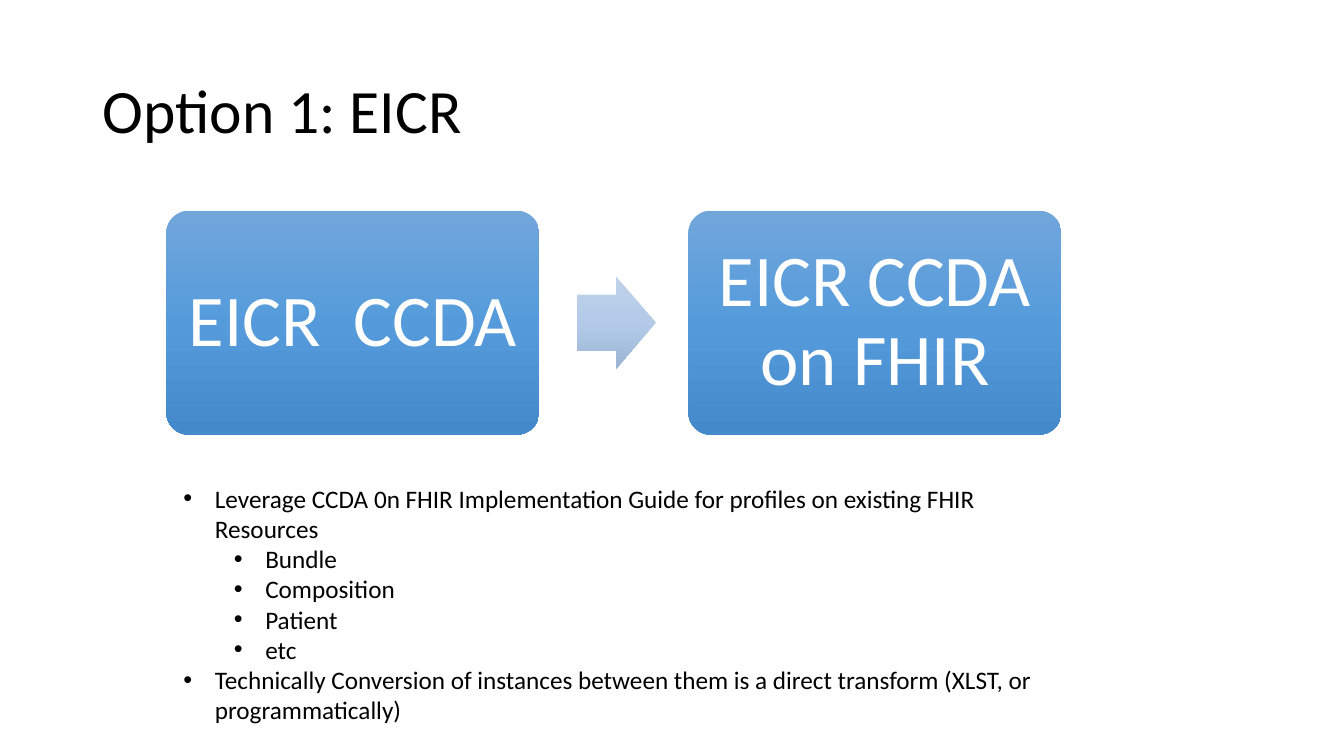
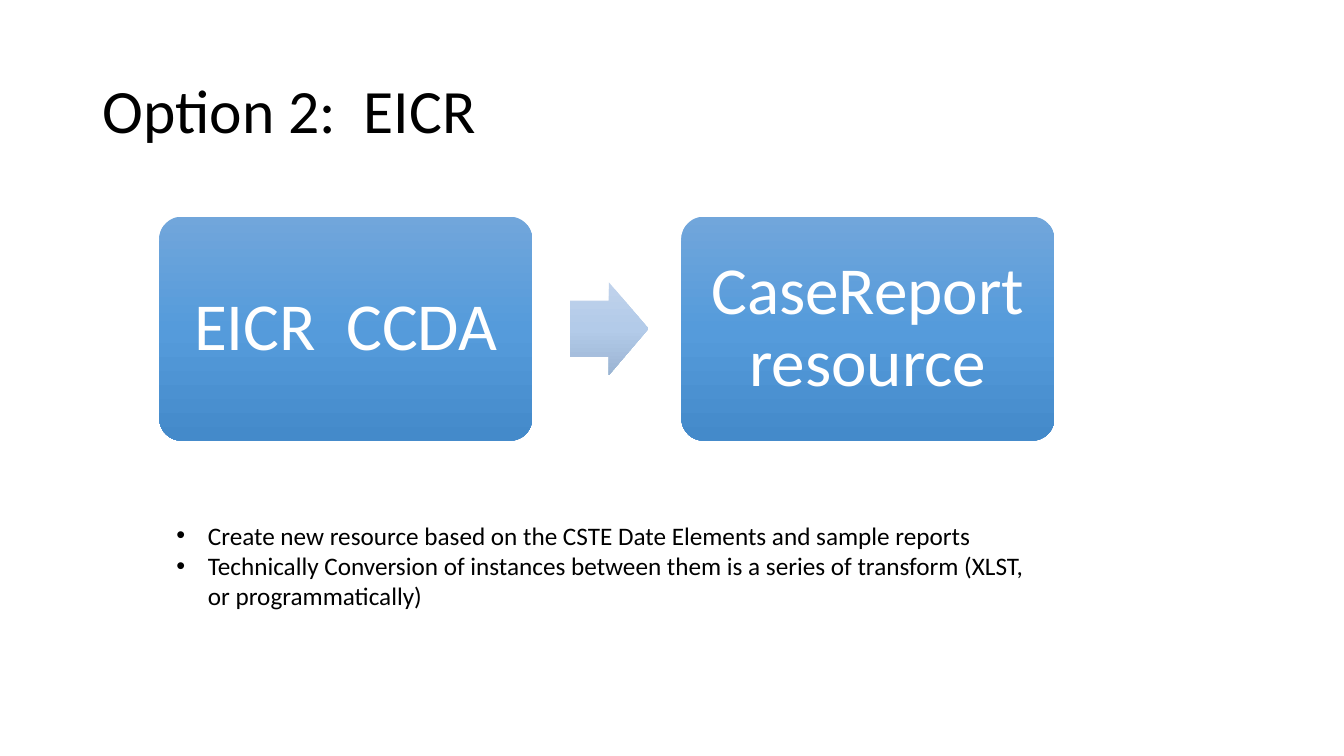
import copy

import lxml.etree
import pptx
import pptx.dml.color
import pptx.enum.shapes
import pptx.enum.text
import pptx.oxml.ns
import pptx.util

Pt = pptx.util.Pt
Shapes = pptx.enum.shapes.MSO_SHAPE
Align = pptx.enum.text.PP_ALIGN

FONT = "Calibri"
BLACK, WHITE = "000000", "FFFFFF"
BOX_GRADIENT = ("71A6DB", "559BDB", "448ACA")
ARROW_GRADIENT = ("C0D2EB", "B3CBE9", "9BB4D3")

BOX_WIDTH, BOX_HEIGHT = 266.4, 160
ARROW_WIDTH, ARROW_HEIGHT = 56.4, 66
ARROW_OFFSET = BOX_WIDTH * 1.1
BOX_STEP = BOX_WIDTH * 1.4
LIST_INDENT, LEVEL_STEP = 22.5, 36

TITLE_FRAME = {
    "word_wrap": True,
    "auto_size": pptx.enum.text.MSO_AUTO_SIZE.NONE,
    "vertical_anchor": pptx.enum.text.MSO_ANCHOR.MIDDLE,
}
LIST_FRAME = {**TITLE_FRAME, "vertical_anchor": pptx.enum.text.MSO_ANCHOR.TOP}
BOX_FRAME = {
    **TITLE_FRAME,
    **dict.fromkeys(("margin_left", "margin_right", "margin_top", "margin_bottom"), Pt(10)),
}
TITLE_PARAGRAPH = {"alignment": Align.LEFT, "line_spacing": 0.9}
BOX_PARAGRAPH = {"alignment": Align.CENTER, "line_spacing": 0.9}
LIST_PARAGRAPH = {"alignment": Align.LEFT, "line_spacing": 1.0,
                  "space_before": Pt(0), "space_after": Pt(0)}

OPTIONS = [
    {
        "title": "Option 1: EICR",
        "flow_at": (118.8, 150.5),
        "labels": ("EICR  CCDA", "EICR CCDA on FHIR"),
        "label_size": 52,
        "list_at": (123.8, 341.3, 630, 181.4),
        "items": [
            (0, "Leverage CCDA 0n FHIR Implementation Guide for profiles on existing FHIR Resources"),
            (1, "Bundle"),
            (1, "Composition"),
            (1, "Patient"),
            (1, "etc"),
            (0, "Technically Conversion of instances between them is a direct transform "
                "(XLST, or programmatically)"),
        ],
    },
    {
        "title": "Option 2:  EICR",
        "flow_at": (113.8, 154.8),
        "labels": ("EICR  CCDA", "CaseReport resource"),
        "label_size": 48,
        "list_at": (118.8, 367.9, 630, 72.7),
        "items": [
            (0, "Create new resource based on the CSTE Date Elements and sample reports"),
            (0, "Technically Conversion of instances between them is a series of transform "
                "(XLST, or programmatically)"),
        ],
    },
]


def color(hex_string):
    return pptx.dml.color.RGBColor.from_string(hex_string)


def apply_format(target, values):
    for name, value in values.items():
        setattr(target, name, value)


def place(shape, left, top, width, height):
    apply_format(shape, {"left": Pt(left), "top": Pt(top),
                         "width": Pt(width), "height": Pt(height)})


def write_paragraph(paragraph, text, size, text_color, paragraph_format):
    apply_format(paragraph, paragraph_format)
    run = paragraph.add_run()
    run.text = text
    apply_format(run.font, {"name": FONT, "size": Pt(size)})
    run.font.color.rgb = color(text_color)


def fill_gradient(shape, hex_strings):
    """Fill from top to bottom with evenly spaced colours."""
    fill = shape.fill
    fill.gradient()
    fill.gradient_angle = 270
    stop_list = shape._element.spPr.find(".//" + pptx.oxml.ns.qn("a:gsLst"))
    while len(stop_list) < len(hex_strings):
        stop_list.append(copy.deepcopy(stop_list[0]))
    for index, (stop, hex_string) in enumerate(zip(fill.gradient_stops, hex_strings)):
        stop.position = index / (len(hex_strings) - 1)
        stop.color.rgb = color(hex_string)


def add_gradient_shape(slide, kind, bounds, adjustments, gradient):
    shape = slide.shapes.add_shape(kind, *map(Pt, bounds))
    for index, value in enumerate(adjustments):
        shape.adjustments[index] = value
    shape.shadow.inherit = False
    shape.line.fill.background()
    fill_gradient(shape, gradient)
    return shape


def add_flow(slide, left, top, labels, size):
    """Add two labelled boxes with an arrow between them."""
    for index, label in enumerate(labels):
        bounds = (left + index * BOX_STEP, top, BOX_WIDTH, BOX_HEIGHT)
        box = add_gradient_shape(slide, Shapes.ROUNDED_RECTANGLE, bounds, [0.1], BOX_GRADIENT)
        apply_format(box.text_frame, BOX_FRAME)
        write_paragraph(box.text_frame.paragraphs[0], label, size, WHITE, BOX_PARAGRAPH)
    arrow_top = top + (BOX_HEIGHT - ARROW_HEIGHT) / 2
    bounds = (left + ARROW_OFFSET, arrow_top, ARROW_WIDTH, ARROW_HEIGHT)
    add_gradient_shape(slide, Shapes.RIGHT_ARROW, bounds, [0.6, 0.5], ARROW_GRADIENT)


def set_title(slide, text):
    title = slide.shapes.title
    place(title, 66, 28.8, 828, 104.4)
    apply_format(title.text_frame, TITLE_FRAME)
    write_paragraph(title.text_frame.paragraphs[0], text, 44, BLACK, TITLE_PARAGRAPH)


def set_bullet(paragraph, level):
    paragraph.level = level
    properties = paragraph._p.get_or_add_pPr()
    properties.set("marL", str(Pt(LIST_INDENT + level * LEVEL_STEP)))
    properties.set("indent", str(-Pt(LIST_INDENT)))
    for tag, name, value in (("a:buFont", "typeface", "Arial"), ("a:buChar", "char", "•")):
        lxml.etree.SubElement(properties, pptx.oxml.ns.qn(tag)).set(name, value)


def set_list(slide, bounds, items):
    body = slide.placeholders[1]
    place(body, *bounds)
    frame = body.text_frame
    apply_format(frame, LIST_FRAME)
    for index, (level, text) in enumerate(items):
        paragraph = frame.add_paragraph() if index else frame.paragraphs[0]
        write_paragraph(paragraph, text, 18, BLACK, LIST_PARAGRAPH)
        set_bullet(paragraph, level)


def main():
    presentation = pptx.Presentation()
    apply_format(presentation, {"slide_width": Pt(960), "slide_height": Pt(540)})
    for option in OPTIONS:
        slide = presentation.slides.add_slide(presentation.slide_layouts[1])
        set_title(slide, option["title"])
        add_flow(slide, *option["flow_at"], option["labels"], option["label_size"])
        set_list(slide, option["list_at"], option["items"])
    presentation.save("out.pptx")


if __name__ == "__main__":
    main()
